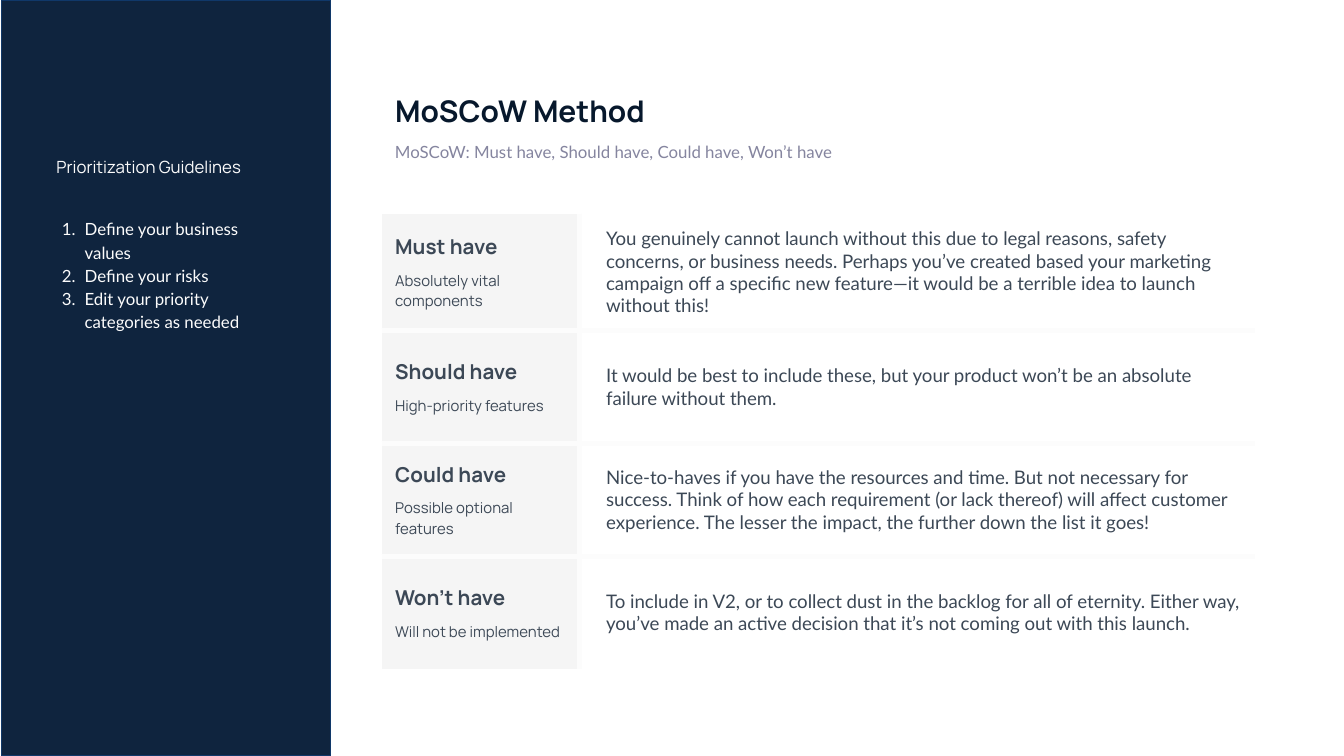
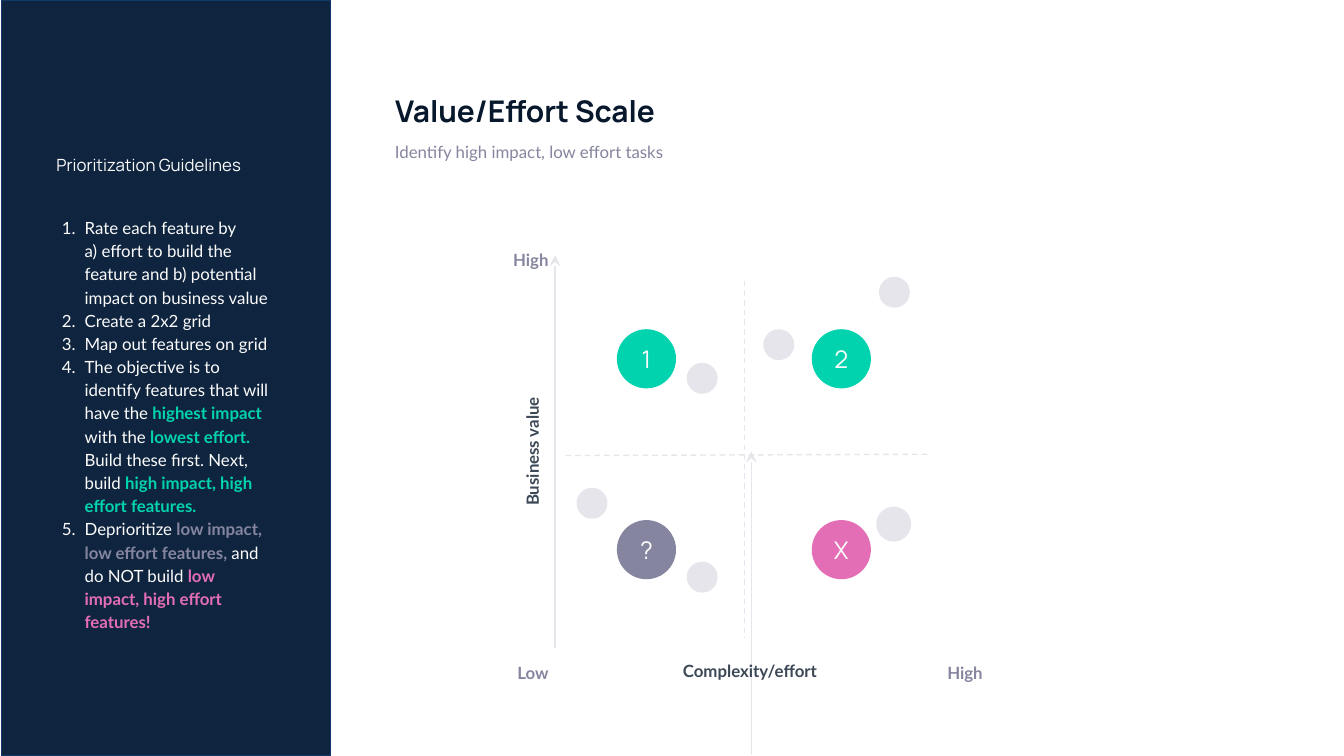
from dataclasses import dataclass

from lxml import etree
from pptx import Presentation
from pptx.dml.color import RGBColor
from pptx.enum.dml import MSO_LINE
from pptx.enum.shapes import MSO_CONNECTOR, MSO_SHAPE
from pptx.enum.text import MSO_ANCHOR, MSO_AUTO_SIZE, PP_ALIGN
from pptx.oxml.ns import qn
from pptx.util import Inches, Pt

NAVY = RGBColor(0x0F, 0x24, 0x3E)
EDGE = RGBColor(0x10, 0x38, 0x69)
INK = RGBColor(0x07, 0x18, 0x2C)
SLATE = RGBColor(0x3C, 0x48, 0x56)
MUTED = RGBColor(0x85, 0x85, 0x9F)
PALE = RGBColor(0xFC, 0xFC, 0xFC)
GREY = RGBColor(0xF5, 0xF5, 0xF5)
MIST = RGBColor(0xE5, 0xE5, 0xEB)
GREEN = RGBColor(0x00, 0xD3, 0xAD)
PINK = RGBColor(0xE4, 0x6E, 0xB5)

HEAD = "Manrope"
BODY = "Lato"
LEFT, MID, RIGHT = PP_ALIGN.LEFT, PP_ALIGN.CENTER, PP_ALIGN.RIGHT
TOP, CENTER = MSO_ANCHOR.TOP, MSO_ANCHOR.MIDDLE
OVAL, RECT = MSO_SHAPE.OVAL, MSO_SHAPE.RECTANGLE
DASH = MSO_LINE.DASH
LINE = MSO_CONNECTOR.STRAIGHT
PLAIN = "{2D5ABB26-0587-4C30-8999-92F81FD0307C}"
PAD = 0.1


@dataclass(frozen=True)
class Bit:
    text: str
    color: RGBColor | None = None


@dataclass(frozen=True)
class Level:
    name: str
    hint: str
    text: str


@dataclass(frozen=True)
class Label:
    text: str
    left: float
    top: float
    width: float
    height: float
    color: RGBColor
    align: PP_ALIGN
    turn: int = 0


@dataclass(frozen=True)
class Dot:
    left: float
    top: float
    size: float = 0.23
    color: RGBColor = MIST
    mark: str = ""


@dataclass(frozen=True)
class Axis:
    start: tuple[float, float]
    end: tuple[float, float]
    arrow: bool = False


RULES = [
    [Bit("Define your business values")],
    [Bit("Define your risks")],
    [Bit("Edit your priority categories as needed")],
]
STEPS = [
    [Bit("Rate each feature by\na) effort to build the feature and b) potential impact on business value")],
    [Bit("Create a 2x2 grid")],
    [Bit("Map out features on grid")],
    [
        Bit("The objective is to identify features that will have the "),
        Bit("highest impact ", GREEN),
        Bit("with the "),
        Bit("lowest effort. ", GREEN),
        Bit("Build these first. Next, build "),
        Bit("high impact, high effort features.", GREEN),
    ],
    [
        Bit("Deprioritize "),
        Bit("low impact, low effort features,", MUTED),
        Bit(" and do NOT build "),
        Bit("low impact, high effort features!", PINK),
    ],
]
LEVELS = [
    Level("Must have", "Absolutely vital components",
          "You genuinely cannot launch without this due to legal reasons, safety concerns, or business needs. "
          "Perhaps you’ve created based your marketing campaign off a specific new feature—it would be a "
          "terrible idea to launch without this!"),
    Level("Should have", "High-priority features",
          "It would be best to include these, but your product won’t be an absolute failure without them."),
    Level("Could have", "Possible optional features",
          "Nice-to-haves if you have the resources and time. But not necessary for success. Think of how each "
          "requirement (or lack thereof) will affect customer experience. The lesser the impact, the further "
          "down the list it goes!"),
    Level("Won’t have", "Will not be implemented",
          "To include in V2, or to collect dust in the backlog for all of eternity. Either way, you’ve made an "
          "active decision that it’s not coming out with this launch."),
]
AXES = [
    Axis((5.54, 2.09), (5.54, 4.75)),
    Axis((6.9, 3.38), (4.18, 3.39)),
    Axis((4.13, 1.9), (4.13, 4.82), True),
    Axis((5.59, 3.36), (5.59, 5.62), True),
]
LABELS = [
    Label("High", 3.64, 1.82, 0.54, 0.23, MUTED, RIGHT),
    Label("Complexity/effort", 4.85, 4.86, 1.46, 0.26, SLATE, MID),
    Label("Low", 3.64, 4.89, 0.54, 0.23, MUTED, RIGHT),
    Label("Business value", 3.23, 3.23, 1.46, 0.26, SLATE, MID, 270),
    Label("High", 6.95, 4.89, 0.54, 0.23, MUTED, LEFT),
]
DOTS = [
    Dot(4.59, 2.45, 0.44, GREEN, "1"),
    Dot(6.04, 2.45, 0.44, GREEN, "2"),
    Dot(6.04, 3.87, 0.44, PINK, "X"),
    Dot(4.59, 3.87, 0.44, MUTED, "?"),
    Dot(5.68, 2.45),
    Dot(6.52, 3.77, 0.26),
    Dot(4.29, 3.63),
    Dot(5.11, 4.18),
    Dot(6.54, 2.06),
    Dot(5.11, 2.7),
]


def style(para, font: str, size: float, color: RGBColor, bold: bool = False, align=LEFT) -> None:
    para.alignment = align
    para.font.name = font
    para.font.size = Pt(size)
    para.font.bold = bold
    para.font.color.rgb = color


def inset(box, left: float = PAD, right: float = PAD) -> None:
    box.margin_left, box.margin_right = Inches(left), Inches(right)
    box.margin_top = box.margin_bottom = Inches(PAD)


def add_label(slide, label: Label, bold: bool = True, anchor=CENTER) -> None:
    box = slide.shapes.add_textbox(Inches(label.left), Inches(label.top),
                                   Inches(label.width), Inches(label.height))
    box.rotation = label.turn
    frame = box.text_frame
    frame.word_wrap = True
    frame.vertical_anchor = anchor
    inset(frame)
    frame.text = label.text
    style(frame.paragraphs[0], BODY, 9, label.color, bold, label.align)


def add_table(slide, left: float, top: float, cols: list[float], rows: list[float]):
    frame = slide.shapes.add_table(len(rows), len(cols), Inches(left), Inches(top),
                                   Inches(sum(cols)), Inches(sum(rows)))
    table = frame.table
    table.first_row = table.horz_banding = False
    frame._element.find(".//" + qn("a:tableStyleId")).text = PLAIN
    for col, width in zip(table.columns, cols):
        col.width = Inches(width)
    for row, height in zip(table.rows, rows):
        row.height = Inches(height)
    return table


def paint(cell, color: RGBColor | None) -> None:
    if color is None:
        cell.fill.background()
    else:
        cell.fill.solid()
        cell.fill.fore_color.rgb = color


def border(cell, sides: str) -> None:
    for side in sides:
        line = etree.SubElement(cell._tc.get_or_add_tcPr(), qn(f"a:ln{side}"), w=str(Pt(3)))
        fill = etree.SubElement(line, qn("a:solidFill"))
        etree.SubElement(fill, qn("a:srgbClr"), val=str(PALE))


def number(para) -> None:
    props = para._p.get_or_add_pPr()
    props.set("marL", str(Inches(0.21)))
    props.set("indent", str(Inches(-0.17)))
    tint = etree.SubElement(props, qn("a:buClr"))
    etree.SubElement(tint, qn("a:srgbClr"), val=str(PALE))
    etree.SubElement(props, qn("a:buAutoNum"), type="arabicPeriod")


def add_bit(para, bit: Bit) -> None:
    for index, text in enumerate(bit.text.split("\n")):
        if index:
            para.add_line_break()
        run = para.add_run()
        run.text = text
        if bit.color is not None:
            run.font.color.rgb = bit.color
            run.font.bold = True


def add_guide(slide, items: list[list[Bit]], head: float) -> None:
    table = add_table(slide, 0.22, 0.42, [0.62, 0.64, 0.81], [head, 0.54, 0.56, 0.56, 0.13])
    for first, last in ((0, 0), (1, 1), (2, 4)):
        cell = table.cell(first, 0)
        cell.merge(table.cell(last, 2))
        paint(cell, NAVY)
    cell = table.cell(1, 0)
    cell.vertical_anchor = CENTER
    inset(cell, 0.2, 0.2)
    cell.text = "Prioritization Guidelines"
    style(cell.text_frame.paragraphs[0], HEAD, 9, PALE)
    cell = table.cell(2, 0)
    cell.vertical_anchor = TOP
    inset(cell, 0.2, 0.27)
    for index, item in enumerate(items):
        frame = cell.text_frame
        para = frame.add_paragraph() if index else frame.paragraphs[0]
        number(para)
        para.line_spacing = 1.15
        style(para, BODY, 9, PALE)
        for bit in item:
            add_bit(para, bit)


def add_base(deck, title: str, note: str, items: list[list[Bit]], head: float):
    slide = deck.slides.add_slide(deck.slide_layouts[5])
    band = slide.shapes.add_shape(RECT, Inches(0.01), 0, Inches(2.45), deck.slide_height)
    band.shadow.inherit = False
    band.fill.solid()
    band.fill.fore_color.rgb = NAVY
    band.line.color.rgb = EDGE
    band.line.width = Pt(0.75)
    name = slide.shapes.title
    name.left, name.top = Inches(2.84), Inches(0.59)
    name.width, name.height = Inches(6.36), Inches(0.47)
    frame = name.text_frame
    frame.auto_size = MSO_AUTO_SIZE.NONE
    frame.vertical_anchor = CENTER
    inset(frame)
    frame.text = title
    style(frame.paragraphs[0], HEAD, 16, INK, True)
    add_guide(slide, items, head)
    add_label(slide, Label(note, 2.84, 0.98, 4.91, 0.35, MUTED, LEFT), False, TOP)
    return slide


def add_levels(slide) -> None:
    table = add_table(slide, 2.84, 1.59, [1.47, 5.03], [0.84] * len(LEVELS))
    for row, level in enumerate(LEVELS):
        sides = ("T" if row else "") + ("B" if row < len(LEVELS) - 1 else "")
        name, text = table.cell(row, 0), table.cell(row, 1)
        for cell, side, fill, left in ((name, "R", GREY, PAD), (text, "L", None, 0.2)):
            cell.vertical_anchor = CENTER
            inset(cell, left)
            border(cell, side + sides)
            paint(cell, fill)
        name.text = level.name
        style(name.text_frame.paragraphs[0], HEAD, 11, SLATE, True)
        hint = name.text_frame.add_paragraph()
        hint.text = level.hint
        hint.space_before = Pt(5)
        style(hint, HEAD, 8, SLATE)
        text.text = level.text
        style(text.text_frame.paragraphs[0], BODY, 10, SLATE)


def add_axis(slide, axis: Axis) -> None:
    ends = [Inches(value) for value in axis.start + axis.end]
    link = slide.shapes.add_connector(LINE, *ends)
    link.line.color.rgb = MIST
    link.line.width = Pt(0.75)
    if axis.arrow:
        etree.SubElement(link.line._get_or_add_ln(), qn("a:headEnd"), type="stealth")
    else:
        link.line.dash_style = DASH
    etree.SubElement(link._element.spPr, qn("a:effectLst"))


def add_dot(slide, dot: Dot) -> None:
    shape = slide.shapes.add_shape(OVAL, Inches(dot.left), Inches(dot.top), Inches(dot.size), Inches(dot.size))
    shape.shadow.inherit = False
    shape.fill.solid()
    shape.fill.fore_color.rgb = dot.color
    shape.line.fill.background()
    if dot.mark:
        frame = shape.text_frame
        frame.margin_left = frame.margin_right = frame.margin_top = frame.margin_bottom = 0
        frame.vertical_anchor = CENTER
        frame.text = dot.mark
        style(frame.paragraphs[0], HEAD, 13, PALE, align=MID)


def main() -> None:
    deck = Presentation()
    deck.slide_width = Inches(10)
    deck.slide_height = deck.slide_width * 9 // 16
    add_levels(add_base(deck, "MoSCoW Method", "MoSCoW: Must have, Should have, Could have, Won’t have", RULES, 0.55))
    slide = add_base(deck, "Value/Effort Scale", "Identify high impact, low effort tasks", STEPS, 0.54)
    for draw, parts in ((add_axis, AXES), (add_label, LABELS), (add_dot, DOTS)):
        for part in parts:
            draw(slide, part)
    deck.save("out.pptx")


if __name__ == "__main__":
    main()
